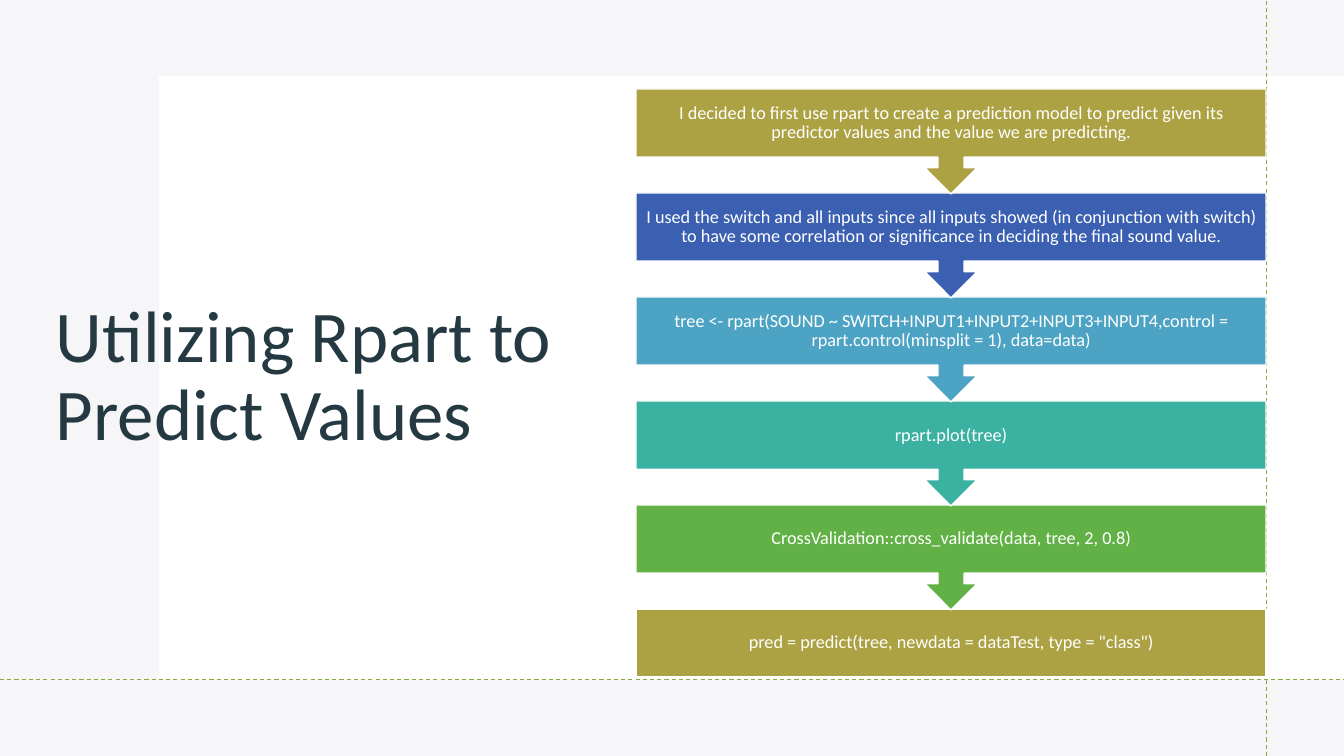
"""Build the slide that explains predicting values with rpart."""
from lxml.etree import SubElement
from pptx import Presentation
from pptx.dml.color import RGBColor
from pptx.enum.dml import MSO_LINE
from pptx.enum.shapes import MSO_CONNECTOR, MSO_SHAPE
from pptx.enum.text import MSO_ANCHOR, PP_ALIGN
from pptx.oxml.ns import qn
from pptx.util import Emu, Pt


class Theme:
    font = "Calibri"
    title_size = Pt(52)
    step_size = Pt(13)
    white = RGBColor.from_string("FFFFFF")
    backdrop = RGBColor.from_string("F6F5F7")
    title = RGBColor.from_string("243941")
    guide = RGBColor.from_string("86AB39")
    olive = RGBColor.from_string("ACA244")
    blue = RGBColor.from_string("3B5FB1")
    sky = RGBColor.from_string("4DA3C3")
    teal = RGBColor.from_string("3BB1A1")
    green = RGBColor.from_string("62B146")


def px(*lengths):
    return [Emu(round(length * 914400 / 100.8)) for length in lengths]


def write(shape, text, size, color, alignment):
    frame = shape.text_frame
    frame.word_wrap = True
    frame.vertical_anchor = MSO_ANCHOR.MIDDLE
    paragraph = frame.paragraphs[0]
    paragraph.text = text
    paragraph.alignment = alignment
    paragraph.line_spacing = 0.9
    paragraph.font.name = Theme.font
    paragraph.font.size = size
    paragraph.font.color.rgb = color


presentation = Presentation()
presentation.slide_width, presentation.slide_height = px(1344, 756)
slide = presentation.slides.add_slide(presentation.slide_layouts[6])

panels = [
    ((0, 0, 1344, 756), Theme.backdrop),
    ((159, 76, 1185, 604), Theme.white),
]
for bounds, color in panels:
    panel = slide.shapes.add_shape(MSO_SHAPE.RECTANGLE, *px(*bounds))
    panel.shadow.inherit = False
    panel.fill.solid()
    panel.fill.fore_color.rgb = color
    panel.line.fill.background()

title = slide.shapes.add_textbox(*px(46, 104, 558, 548))
write(title, "Utilizing Rpart to Predict Values", Theme.title_size, Theme.title, PP_ALIGN.LEFT)

for ends in [(1267, 756, 1267, 0), (0, 680, 1344, 680)]:
    guide = slide.shapes.add_connector(MSO_CONNECTOR.STRAIGHT, *px(*ends))
    guide.line.color.rgb = Theme.guide
    guide.line.width = Pt(0.75)
    guide.line.dash_style = MSO_LINE.DASH
    SubElement(guide._element.spPr, qn("a:effectLst"))

steps = [
    ("I decided to first use rpart to create a prediction model to predict given its "
     "predictor values and the value we are predicting.", Theme.olive),
    ("I used the switch and all inputs since all inputs showed (in conjunction with switch) "
     "to have some correlation or significance in deciding the final sound value.", Theme.blue),
    ("tree <- rpart(SOUND ~ SWITCH+INPUT1+INPUT2+INPUT3+INPUT4,control = "
     "rpart.control(minsplit = 1), data=data)", Theme.sky),
    ("rpart.plot(tree)", Theme.teal),
    ("CrossValidation::cross_validate(data, tree, 2, 0.8)", Theme.green),
    ('pred = predict(tree, newdata = dataTest, type = "class")', Theme.olive),
]
first_top, pitch = 89, 104
for index, (text, color) in reversed(list(enumerate(steps))):
    is_last = index == len(steps) - 1
    kind = MSO_SHAPE.RECTANGLE if is_last else MSO_SHAPE.DOWN_ARROW_CALLOUT
    height = 68 if is_last else 105
    step = slide.shapes.add_shape(kind, *px(636, first_top + index * pitch, 630, height))
    step.shadow.inherit = False
    step.fill.solid()
    step.fill.fore_color.rgb = color
    step.line.color.rgb = Theme.white
    step.line.width = Pt(1)
    write(step, text, Theme.step_size, Theme.white, PP_ALIGN.CENTER)

presentation.save("out.pptx")
